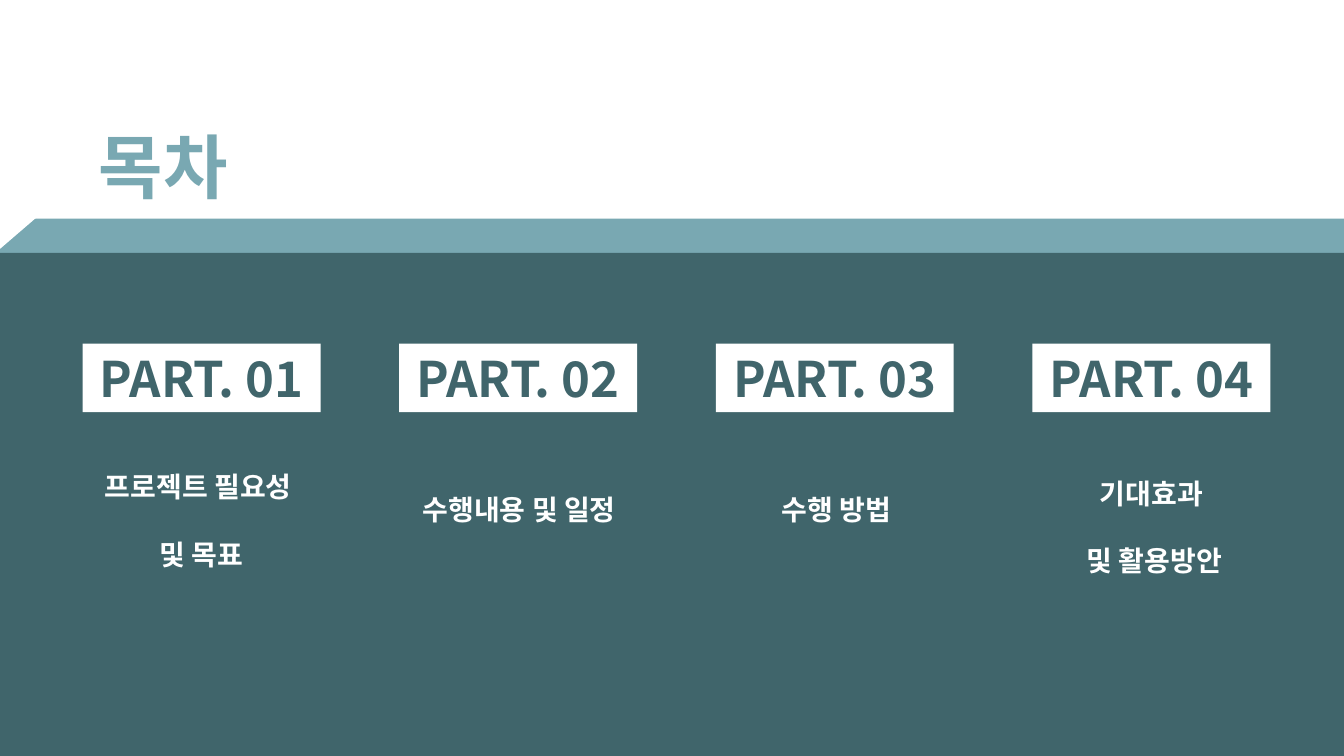
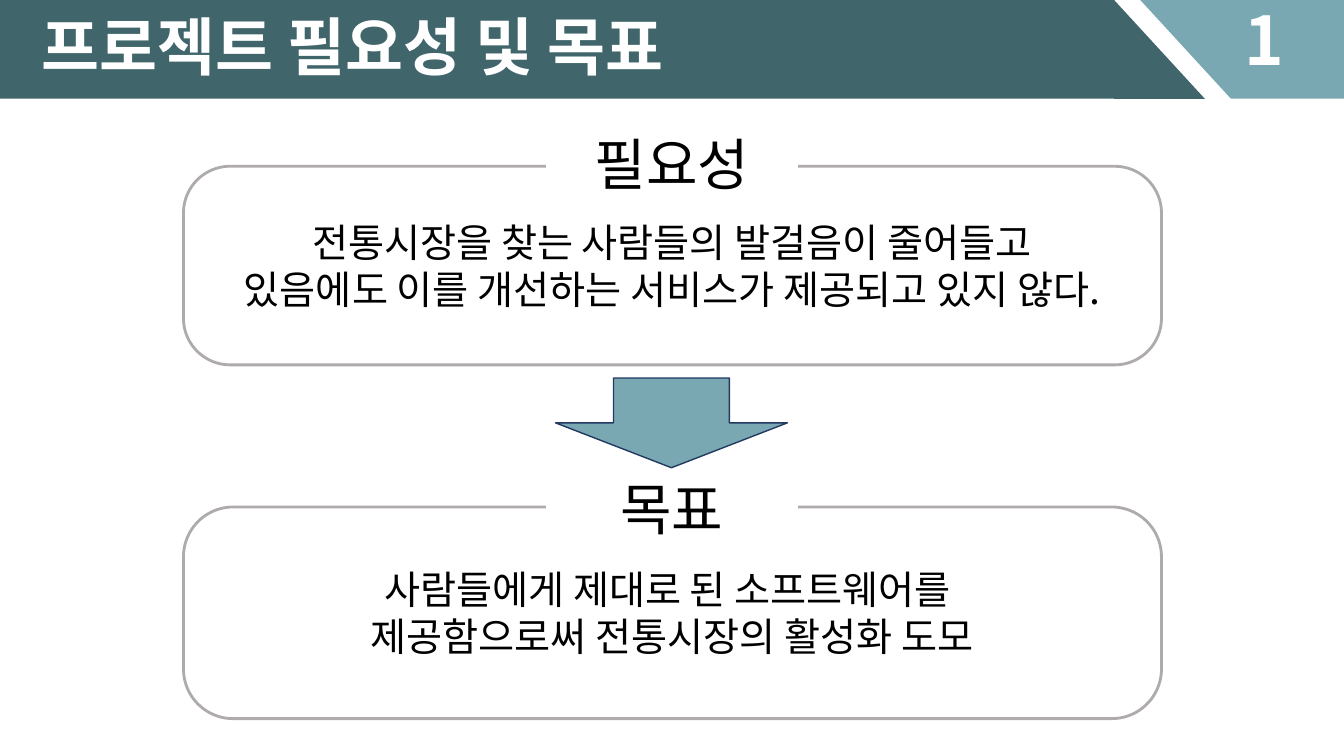
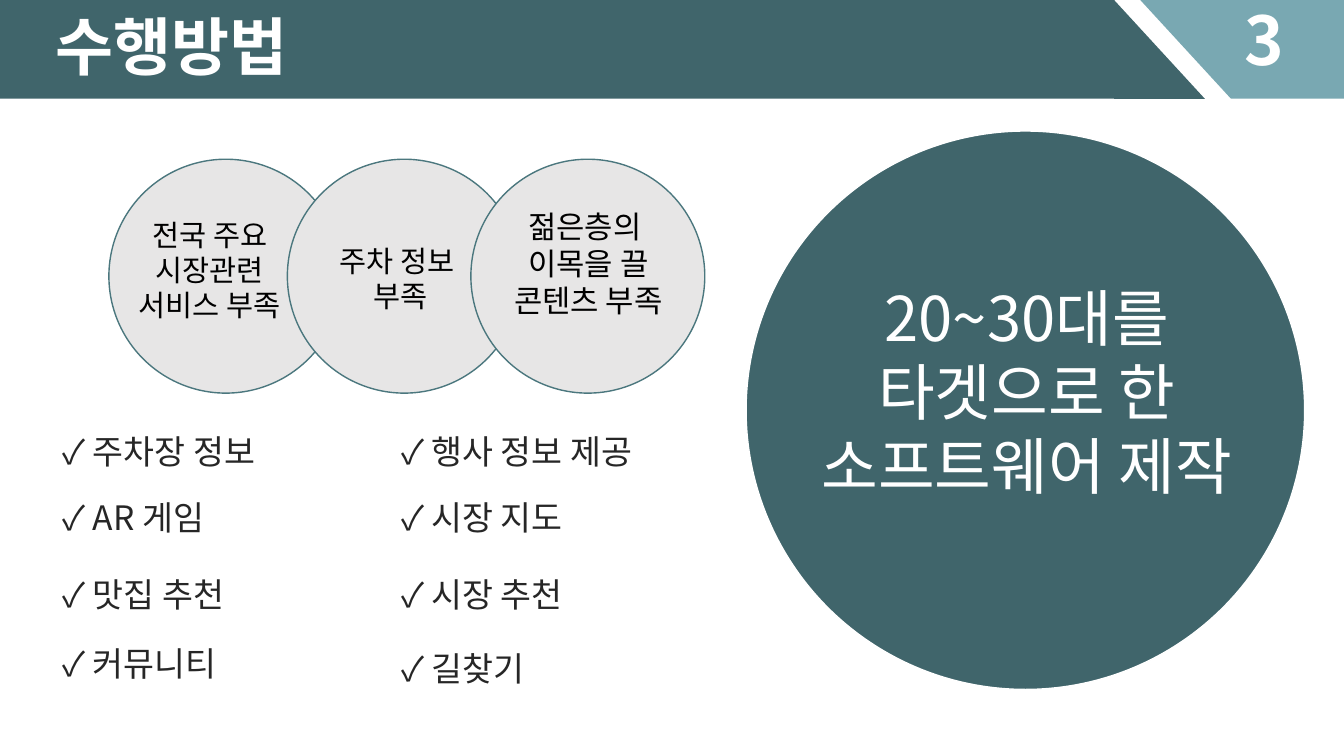
from lxml import etree
from pptx import Presentation
from pptx.dml.color import RGBColor
from pptx.enum.shapes import MSO_SHAPE
from pptx.enum.text import MSO_ANCHOR, PP_ALIGN
from pptx.oxml.ns import qn
from pptx.util import Inches, Pt

RECT, OVAL = MSO_SHAPE.RECTANGLE, MSO_SHAPE.OVAL
TRIANGLE, ROUNDED = MSO_SHAPE.ISOSCELES_TRIANGLE, MSO_SHAPE.ROUNDED_RECTANGLE
DOWN_ARROW = MSO_SHAPE.DOWN_ARROW
LEFT, CENTER = PP_ALIGN.LEFT, PP_ALIGN.CENTER
TOP, MIDDLE = MSO_ANCHOR.TOP, MSO_ANCHOR.MIDDLE

FONT = "Noto Sans CJK KR"
WHITE = RGBColor(0xFF, 0xFF, 0xFF)
BLACK = RGBColor(0x00, 0x00, 0x00)
INK = RGBColor(0x26, 0x26, 0x26)
TEAL = RGBColor(0x40, 0x65, 0x6B)
SKY = RGBColor(0x79, 0xA8, 0xB2)
RIM = RGBColor(0x4B, 0x77, 0x7E)
FRAME = RGBColor(0xAF, 0xAB, 0xAB)
PALE = RGBColor(0xE7, 0xE6, 0xE6)
NAVY = RGBColor(0x22, 0x39, 0x61)

SLIDE_W, SLIDE_H = 13.33, 7.5
HEADER_H = 0.98

CONTENTS_TITLE = "목차"
PARTS = [
    ("PART. 01", 4.28, ["프로젝트 필요성 ", "및 목표"]),
    ("PART. 02", 4.5, ["수행내용 및 일정"]),
    ("PART. 03", 4.5, ["수행 방법"]),
    ("PART. 04", 4.34, ["기대효과 ", "및 활용방안"]),
]

NEED_TITLE = "프로젝트 필요성 및 목표"
PANELS = [
    ("필요성", 1.65, 1.97, 0.42, 0.47,
     ["전통시장을 찾는 사람들의 발걸음이 줄어들고",
      "있음에도 이를 개선하는 서비스가 제공되고 있지 않다."]),
    ("목표", 5.03, 2.1, 0.37, 0.53,
     ["사람들에게 제대로 된 소프트웨어를 ",
      "제공함으로써 전통시장의 활성화 도모"]),
]

METHOD_TITLE = " 수행방법"
PROBLEMS = [
    (1.08, (1.19, 2.1, 1.78, 1.15), 21, ["전국 주요", " 시장관련 ", "서비스 부족"]),
    (2.85, (2.97, 2.36, 2, 0.8), 21, ["주차 정보 ", "부족"]),
    (4.67, (4.96, 2.01, 1.75, 1.57), 22, ["젊은층의 ", "이목을 끌 콘텐츠 부족"]),
]
TARGET = ["20~30대를", "타겟으로 한", "소프트웨어 제작"]
FEATURES = [
    (0.52, [(4.23, "주차장 정보"), (4.88, "AR 게임"), (5.64, "맛집 추천"), (6.33, "커뮤니티")]),
    (3.88, [(4.23, "행사 정보 제공"), (4.88, "시장 지도"), (5.64, "시장 추천"), (6.38, "길찾기")]),
]


def write(shape, lines, size, color, bold=False, align=CENTER, spacing=None, anchor=TOP):
    frame = shape.text_frame
    frame.word_wrap = True
    frame.vertical_anchor = anchor
    for index, line in enumerate(lines):
        paragraph = frame.add_paragraph() if index else frame.paragraphs[0]
        paragraph.alignment = align
        if spacing:
            paragraph.line_spacing = spacing
        run = paragraph.add_run()
        run.text = line
        run.font.name = FONT
        run.font.size = Pt(size)
        run.font.bold = bold
        run.font.color.rgb = color
        etree.SubElement(run.font._element, qn("a:ea")).set("typeface", FONT)


def add_text(slide, box, lines, size, color, **style):
    write(slide.shapes.add_textbox(*map(Inches, box)), lines, size, color, **style)


def add_figure(slide, preset, box, fill=None, line=None, width=1, adjust=(), flips=()):
    figure = slide.shapes.add_shape(preset, *map(Inches, box))
    figure.shadow.inherit = False
    if fill is None:
        figure.fill.background()
    else:
        figure.fill.solid()
        figure.fill.fore_color.rgb = fill
    if line is None:
        figure.line.fill.background()
    else:
        figure.line.color.rgb = line
        figure.line.width = Pt(width)
    for index, value in enumerate(adjust):
        figure.adjustments[index] = value
    for flip in flips:
        figure._element.spPr.xfrm.set(flip, "1")
    return figure


def add_header(slide, title, number):
    slant, bar, corner = 0.9, 11.05, 12.21
    add_figure(slide, TRIANGLE, (bar, 0, slant, HEADER_H), TEAL, adjust=[0])
    add_figure(slide, RECT, (0, 0, bar, HEADER_H), TEAL)
    add_figure(slide, RECT, (corner, 0, SLIDE_W - corner, HEADER_H), SKY)
    add_figure(slide, TRIANGLE, (corner - slant, 0, slant, HEADER_H), SKY,
               adjust=[0], flips=["flipH", "flipV"])
    add_text(slide, (12.24, -0.07, 0.57, 0.91), [number], 48, WHITE, bold=True)
    add_text(slide, (0.31, 0.03, 10, 0.84), [title], 45, WHITE, bold=True, align=LEFT)


def build_contents(slide):
    add_figure(slide, RECT, (0, 2.17, SLIDE_W, SLIDE_H - 2.17), SKY)
    add_figure(slide, RECT, (0, 2.51, SLIDE_W, SLIDE_H - 2.51), TEAL)
    add_figure(slide, TRIANGLE, (0, 2.16, 0.36, 0.31), WHITE, adjust=[0], flips=["flipV"])
    add_text(slide, (0.56, 1.18, 2.12, 0.93), [CONTENTS_TITLE], 50, SKY, bold=True)
    left, width, badge_step, caption_step = 0.82, 2.36, 3.14, 3.15
    for index, (part, top, caption) in enumerate(PARTS):
        badge = add_figure(slide, RECT, (left + index * badge_step, 3.41, width, 0.68), WHITE)
        write(badge, [part], 35, TEAL, bold=True)
        add_text(slide, (left + index * caption_step, top, width, 0.67 * len(caption) + 0.09),
                 caption, 20, WHITE, bold=True, spacing=2.0)


def build_need(slide):
    add_header(slide, NEED_TITLE, "1")
    label_w, label_h, text_w = 2.49, 0.77, 10.5
    for label, top, height, rise, drop, lines in PANELS:
        add_figure(slide, ROUNDED, (1.82, top, 9.7, height), line=FRAME, width=2, adjust=[0.235])
        tag = add_figure(slide, RECT, ((SLIDE_W - label_w) / 2, top - rise, label_w, label_h),
                         WHITE, WHITE, 0.75)
        write(tag, [label], 40, BLACK, anchor=MIDDLE)
        add_text(slide, ((SLIDE_W - text_w) / 2, top + drop, text_w, 1.04), lines, 28, BLACK)
    add_figure(slide, DOWN_ARROW, (5.51, 3.75, 2.3, 0.89), SKY, NAVY)


def build_method(slide):
    add_header(slide, METHOD_TITLE, "3")
    for left, box, size, lines in PROBLEMS:
        add_figure(slide, OVAL, (left, 1.58, 2.32, 2.32), PALE, RIM)
        add_text(slide, box, lines, size, BLACK)
    add_figure(slide, OVAL, (7.4, 1.3, 5.54, 5.54), TEAL, WHITE)
    add_text(slide, (7.56, 2.73, 5.25, 2.29), TARGET, 44, WHITE)
    for left, features in FEATURES:
        for top, feature in features:
            add_text(slide, (left, top, 2.97, 0.49), ["✓ " + feature], 24, INK, align=LEFT)


def main():
    deck = Presentation()
    deck.slide_width, deck.slide_height = Inches(SLIDE_W), Inches(SLIDE_H)
    for build in (build_contents, build_need, build_method):
        build(deck.slides.add_slide(deck.slide_layouts[6]))
    deck.save("out.pptx")


if __name__ == "__main__":
    main()
